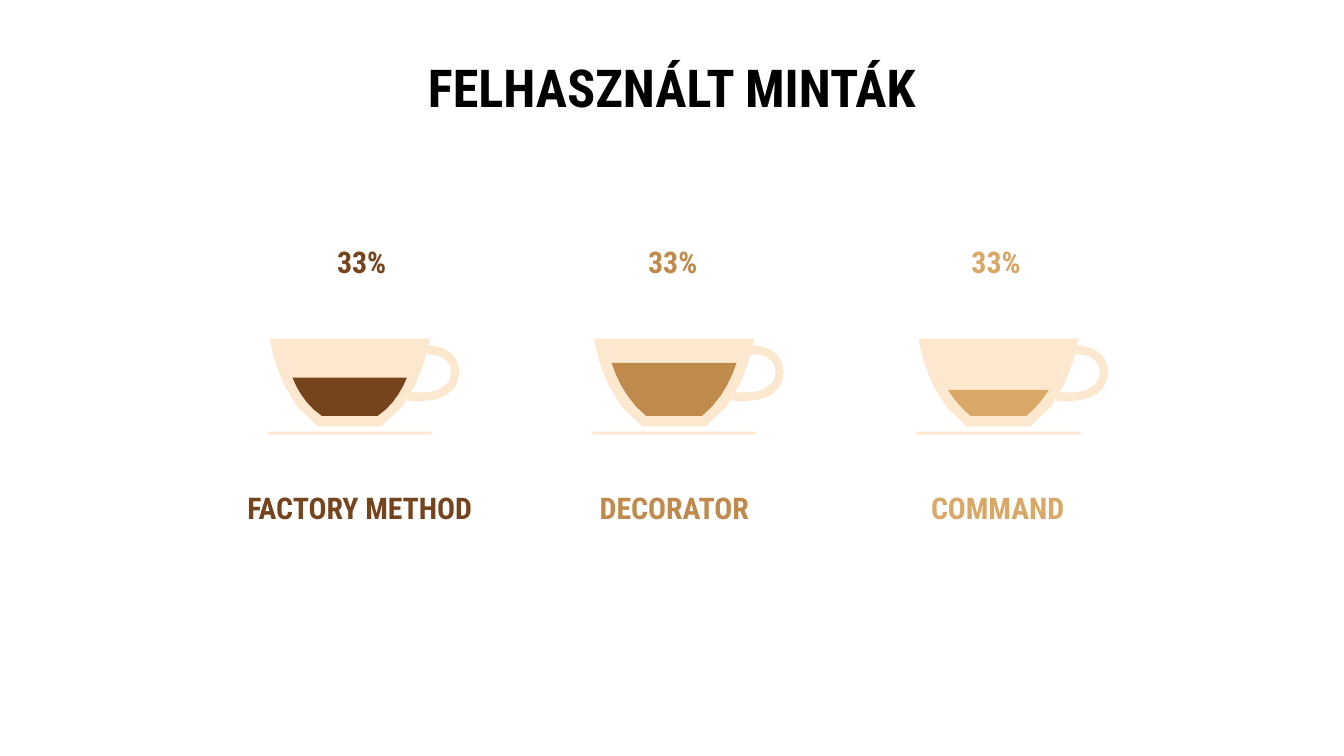
import dataclasses

import lxml.etree
import pptx
import pptx.dml.color
import pptx.enum.text
import pptx.oxml.ns
import pptx.util

Cm = pptx.util.Cm
Pt = pptx.util.Pt
RGB = pptx.dml.color.RGBColor.from_string


@dataclasses.dataclass(frozen=True)
class Theme:
    font: str = "Roboto Condensed"
    title_size: int = 28
    label_size: int = 16
    title: str = "000000"
    cup: str = "FACA93"
    cup_opacity: int = 44
    dark: str = "76441C"
    medium: str = "C08A4C"
    light: str = "D9A866"


theme = Theme()
deck = pptx.Presentation()
deck.slide_width, deck.slide_height = Cm(25.4), Cm(14.29)
page = deck.slides.add_slide(deck.slide_layouts[6])


def curve(start, first, second, end, steps):
    """Points along a cubic Bezier curve."""
    points = []
    for step in range(steps + 1):
        t = step / steps
        weights = ((1 - t) ** 3, 3 * t * (1 - t) ** 2, 3 * t * t * (1 - t), t ** 3)
        corners = (start, first, second, end)
        points.append(tuple(sum(w * c[axis] for w, c in zip(weights, corners))
                            for axis in (0, 1)))
    return points


def add_outline(points, left, top, color):
    """Filled freeform from points in centimetres, moved to left and top."""
    placed = [(Cm(left + x), Cm(top + y)) for x, y in points]
    builder = page.shapes.build_freeform(*placed[0], scale=1.0)
    builder.add_line_segments(placed[1:], close=True)
    shape = builder.convert_to_shape()
    shape.shadow.inherit = False
    shape.line.fill.background()
    shape.fill.solid()
    shape.fill.fore_color.rgb = RGB(color)
    return shape


# Cup geometry, measured from the bowl's top left corner
cup_left, cup_top, cup_step, cup_width = 5.1, 6.4, 6.13, 3.02
wall_steps, handle_steps = 5, 3
bowl_wall = ((0, 0), (0, 0), (0.14, 1.14), (0.91, 1.66))
saucer = [(-0.05, 1.78), (-0.03, 1.76), (3.05, 1.76),
          (3.07, 1.78), (3.05, 1.81), (-0.03, 1.81)]
handle_inner = [
    ((3.07, 0.3), (3.25, 0.3), (3.33, 0.41)),
    ((3.4, 0.46), (3.43, 0.53), (3.42, 0.66)),
    ((3.42, 0.76), (3.38, 0.84), (3.3, 0.89)),
    ((3.18, 1.02), (2.95, 1.02), (2.81, 1.02)),
    ((2.74, 1.02), (2.69, 1.02), (2.67, 1.01)),
]
handle_outer = [
    ((2.59, 1.17), (2.69, 1.19), (2.82, 1.19)),
    ((2.87, 1.19), (2.92, 1.18), (2.96, 1.17)),
    ((3.12, 1.17), (3.29, 1.12), (3.4, 1.02)),
    ((3.51, 0.94), (3.57, 0.81), (3.58, 0.66)),
    ((3.58, 0.51), (3.54, 0.38), (3.43, 0.28)),
    ((3.3, 0.15), (3.12, 0.15), (3, 0.13)),
]
handle = []
for start, edge in (((2.96, 0.3), handle_inner), ((2.59, 1.17), handle_outer)):
    handle.append(start)
    for bend in edge:
        handle += curve(handle[-1], *bend, handle_steps)[1:]

# Name, colour, coffee wall, label left and width, percentage left
patterns = [
    ("FACTORY METHOD", theme.dark,
     ((0.43, 0.74), (0.53, 1), (0.71, 1.28), (0.98, 1.46)), 4.4, 4.8, 5.02),
    ("DECORATOR", theme.medium,
     ((0.33, 0.46), (0.43, 0.79), (0.64, 1.19), (0.98, 1.46)), 10.93, 3.63, 10.9),
    ("COMMAND", theme.light,
     ((0.56, 0.97), (0.66, 1.14), (0.81, 1.32), (0.98, 1.46)), 17.04, 3.63, 17.01),
]
texts = [("FELHASZNÁLT MINTÁK", theme.title, theme.title_size, 0.86, 0.79, 23.67, 1.6)]

# Cups with their coffee
for index, (name, color, coffee_wall, label_left, label_width, share_left) in enumerate(patterns):
    left = cup_left + index * cup_step
    vessels = []
    for wall in (bowl_wall, coffee_wall):
        side = curve(*wall, wall_steps)
        vessels.append(side + [(cup_width - x, y) for x, y in reversed(side)])
    bowl, coffee = vessels

    for outline in (bowl, handle, saucer):
        part = add_outline(outline, left, cup_top, theme.cup)
        tone = part.fill._xPr.find(".//" + pptx.oxml.ns.qn("a:srgbClr"))
        alpha = lxml.etree.SubElement(tone, pptx.oxml.ns.qn("a:alpha"))
        alpha.set("val", str(theme.cup_opacity * 1000))
    add_outline(coffee, left, cup_top, color)

    texts.append((name, color, theme.label_size, label_left, 8.9, label_width, 1.07))
    texts.append(("33%", color, theme.label_size, share_left, 4.26, 3.63, 1.07))

# Title, labels and percentages
for words, color, size, left, top, width, height in texts:
    box = page.shapes.add_textbox(Cm(left), Cm(top), Cm(width), Cm(height))
    frame = box.text_frame
    frame.word_wrap = True
    frame.margin_left = frame.margin_right = Cm(0.25)
    frame.margin_top = frame.margin_bottom = Cm(0.25)
    para = frame.paragraphs[0]
    para.text = words
    para.alignment = pptx.enum.text.PP_ALIGN.CENTER
    para.font.name = theme.font
    para.font.size = Pt(size)
    para.font.bold = True
    para.font.color.rgb = RGB(color)
    if size == theme.label_size:
        para.line_spacing = 1.15
        para.space_after = Pt(16)

deck.save("out.pptx")
